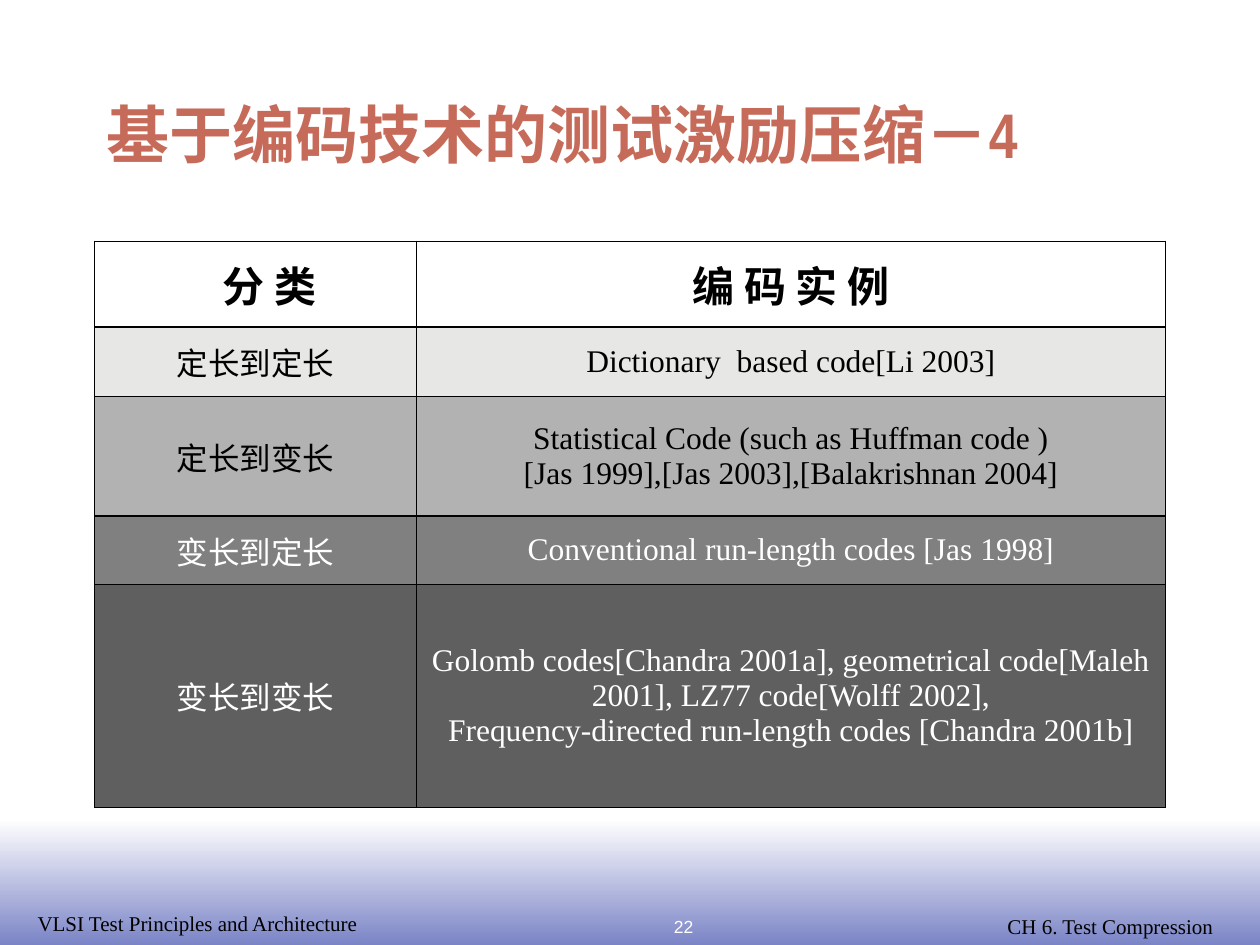
from lxml import etree
from pptx import Presentation
from pptx.dml.color import RGBColor
from pptx.enum.shapes import MSO_SHAPE
from pptx.enum.text import MSO_ANCHOR, PP_ALIGN
from pptx.oxml.ns import qn
from pptx.util import Pt

LEFT, CENTER = PP_ALIGN.LEFT, PP_ALIGN.CENTER
TOP, MIDDLE, BOTTOM = MSO_ANCHOR.TOP, MSO_ANCHOR.MIDDLE, MSO_ANCHOR.BOTTOM
SERIF = "Times New Roman"
BLACK, WHITE = "000000", "FFFFFF"

TITLE = "基于编码技术的测试激励压缩－4"
ROWS = [
    (49, WHITE, BLACK, ["分 类"], ["编 码 实 例"]),
    (39.5, "E7E7E5", BLACK, ["定长到定长"], ["Dictionary  based code[Li 2003]"]),
    (68.5, "B2B2B2", BLACK, ["定长到变长"], [
        "Statistical Code (such as Huffman code )",
        "[Jas 1999],[Jas 2003],[Balakrishnan 2004]"]),
    (39, "808080", WHITE, ["变长到定长"], ["Conventional run-length codes [Jas 1998]"]),
    (127.5, "5F5F5F", WHITE, ["变长到变长"], [
        "Golomb codes[Chandra 2001a], geometrical code[Maleh 2001], LZ77 code[Wolff 2002],",
        "Frequency-directed run-length codes [Chandra 2001b]"]),
]
COLUMN_WIDTHS = [184, 428]
TABLE_LEFT, TABLE_TOP = 54, 138
HEADER_SHIFT = 16
BORDER_WIDTH = Pt(0.96)
TEXT_BOXES = [
    ((54, 11.5, 612, 90), TITLE, dict(size=36, font="Arial Narrow", color="C66B5A", bold=True), BOTTOM),
    ((14.4, 517, 199, 21.6), "VLSI Test Principles and Architecture", dict(size=12), TOP),
    ((568, 518.4, 133, 21.6), "CH 6. Test Compression", dict(size=12, align=CENTER), TOP),
    ((306.7, 520, 167.8, 20), "22", dict(size=10, font="Arial", color=WHITE, align=CENTER), TOP),
]


def rgb(value):
    return RGBColor.from_string(value)


def write(frame, lines, size=18, font=SERIF, color=BLACK, bold=False, align=LEFT):
    frame.word_wrap = True
    for index, line in enumerate(lines):
        paragraph = frame.add_paragraph() if index else frame.paragraphs[0]
        paragraph.alignment = align
        run = paragraph.add_run()
        run.text = line
        run.font.size, run.font.name, run.font.bold = Pt(size), font, bold
        run.font.color.rgb = rgb(color)


def add_borders(cell):
    properties = cell._tc.get_or_add_tcPr()
    for index, side in enumerate(("a:lnL", "a:lnR", "a:lnT", "a:lnB")):
        line = etree.Element(qn(side), w=str(BORDER_WIDTH))
        fill = etree.SubElement(line, qn("a:solidFill"))
        etree.SubElement(fill, qn("a:srgbClr"), val=BLACK)
        properties.insert(index, line)


def add_footer_band(slide):
    band = slide.shapes.add_shape(MSO_SHAPE.RECTANGLE, 0, Pt(468), Pt(720), Pt(72))
    band.shadow.inherit = False
    band.line.fill.background()
    band.fill.gradient()
    band.fill.gradient_angle = 270
    for stop, color in zip(band.fill.gradient_stops, (WHITE, "7B84C6")):
        stop.color.rgb = rgb(color)


def add_code_table(slide):
    height = sum(row[0] for row in ROWS)
    table = slide.shapes.add_table(
        len(ROWS), len(COLUMN_WIDTHS), Pt(TABLE_LEFT), Pt(TABLE_TOP),
        Pt(sum(COLUMN_WIDTHS)), Pt(height)).table
    for column, width in zip(table.columns, COLUMN_WIDTHS):
        column.width = Pt(width)
    for row_index, (row_height, fill, color, *texts) in enumerate(ROWS):
        table.rows[row_index].height = Pt(row_height)
        header = row_index == 0
        for column_index, lines in enumerate(texts):
            cell = table.cell(row_index, column_index)
            cell.fill.solid()
            cell.fill.fore_color.rgb = rgb(fill)
            cell.vertical_anchor = MIDDLE
            write(cell.text_frame, lines, size=24 if header else 18,
                  color=color, bold=header, align=CENTER)
            add_borders(cell)
    table.cell(0, 0).margin_left = Pt(7.2 + HEADER_SHIFT)


def main():
    presentation = Presentation()
    presentation.slide_width, presentation.slide_height = Pt(720), Pt(540)
    slide = presentation.slides.add_slide(presentation.slide_layouts[6])
    add_footer_band(slide)
    for place, text, style, anchor in TEXT_BOXES:
        frame = slide.shapes.add_textbox(*map(Pt, place)).text_frame
        frame.vertical_anchor = anchor
        write(frame, [text], **style)
    add_code_table(slide)
    presentation.save("out.pptx")


if __name__ == "__main__":
    main()
